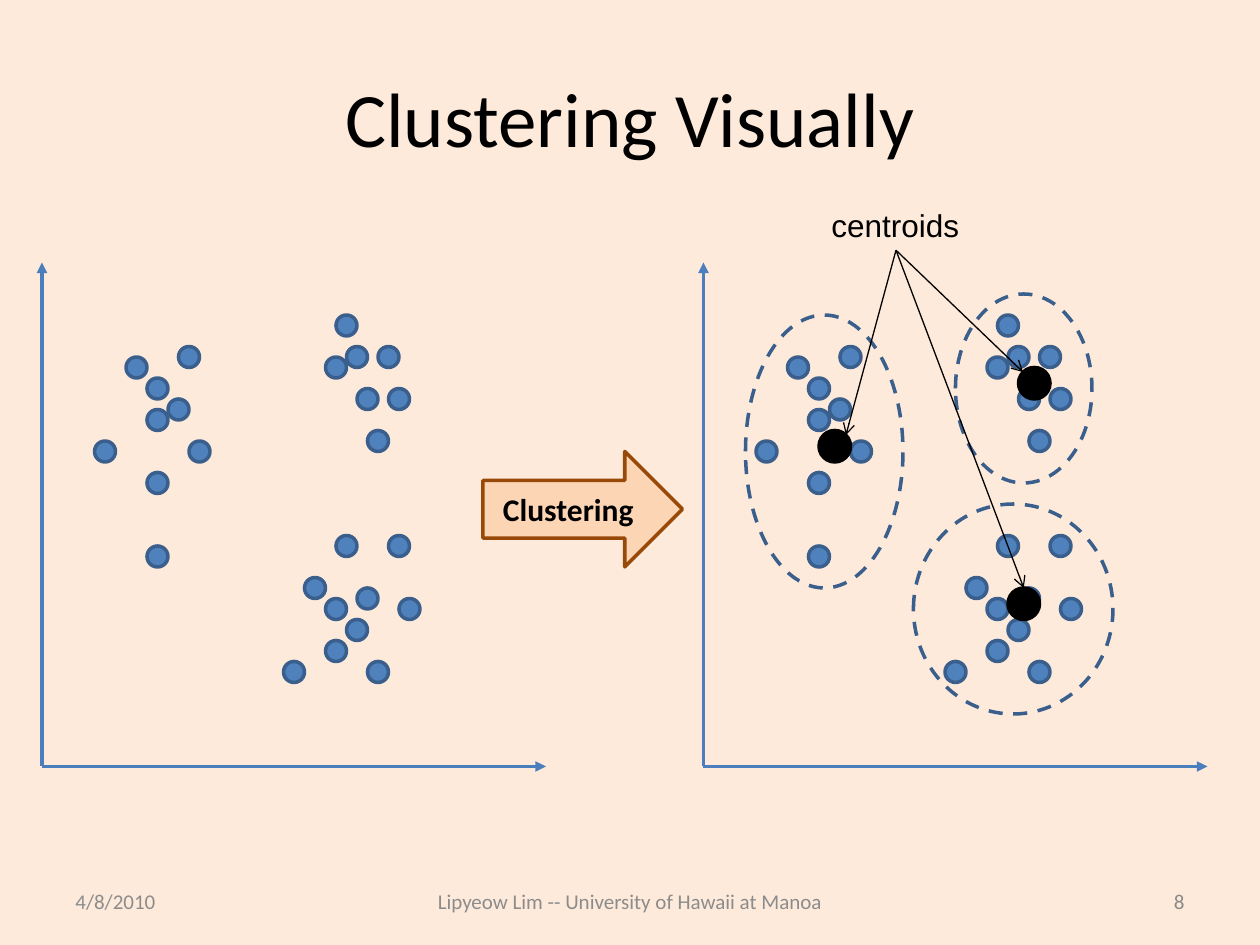
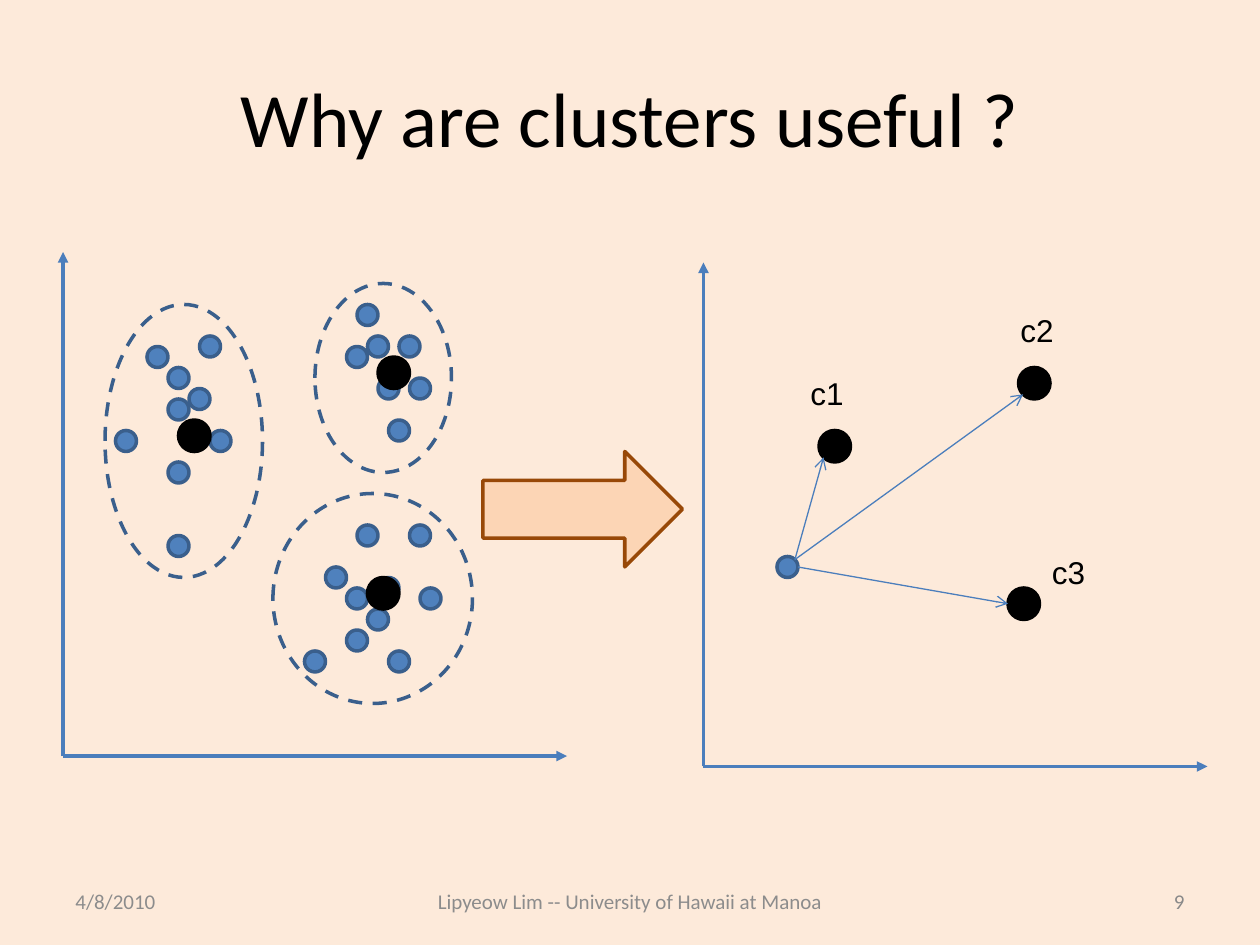
from math import hypot

from pptx import Presentation
from pptx.dml.color import RGBColor
from pptx.enum.dml import MSO_LINE
from pptx.enum.shapes import MSO_CONNECTOR, MSO_SHAPE
from pptx.enum.text import MSO_ANCHOR, PP_ALIGN
from pptx.oxml.ns import qn
from pptx.util import Pt
from lxml.etree import SubElement

PEACH = RGBColor(0xFD, 0xEA, 0xDA)
BLACK = RGBColor(0x00, 0x00, 0x00)
GREY = RGBColor(0x8C, 0x8C, 0x8C)
NUMBER_GREY = RGBColor(0x89, 0x89, 0x89)
AXIS_BLUE = RGBColor(0x4B, 0x7E, 0xBC)
DOT_BLUE = RGBColor(0x4F, 0x81, 0xBD)
RIM_BLUE = RGBColor(0x3A, 0x5F, 0x8C)
ARROW_FILL = RGBColor(0xFC, 0xD5, 0xB5)
ARROW_LINE = RGBColor(0x98, 0x48, 0x07)

GRID = 6
AXIS_LENGTH = 48 * GRID
DOT_SIZE, CENTROID_SIZE = 2, 3
LEFT_ORIGIN, RIGHT_ORIGIN, SHIFTED_ORIGIN = (24, 438), (402, 438), (36, 432)
DOTS = [
    (8, 39), (5, 31), (10, 21), (10, 34), (10, 28), (14, 31), (10, 37), (12, 35), (13, 40),
    (27, 39), (30, 36), (32, 40), (31, 32), (28, 43), (29, 40), (33, 36),
    (28, 22), (25, 18), (30, 17), (34, 16), (31, 10), (33, 22), (27, 12), (27, 16),
    (29, 14), (23, 10),
]
CLUSTERS = [(4, 43, 15, 26), (24, 45, 13, 18), (20, 25, 19, 20)]
CENTROIDS = [(11, 32), (30, 38), (29, 17)]
CENTROID_LABELS = [("c1", 9, 38), ("c2", 29, 44), ("c3", 32, 21)]
QUERY_POINT = (7, 20)


class Deck:
    """Draws the shared slide style and scatter plots on the current slide."""

    def __init__(self):
        self.prs = Presentation()
        self.prs.slide_width, self.prs.slide_height = Pt(720), Pt(540)
        self.s = None
        self.origin = LEFT_ORIGIN

    def slide(self, title, number):
        self.s = self.prs.slides.add_slide(self.prs.slide_layouts[6])
        self.s.background.fill.solid()
        self.s.background.fill.fore_color.rgb = PEACH
        self.text(title, 36, 21.6, 648, 90, 44, align=PP_ALIGN.CENTER)
        for text, x, w, align, color in [
            ("4/8/2010", 36, 168, PP_ALIGN.LEFT, GREY),
            ("Lipyeow Lim -- University of Hawaii at Manoa", 216, 288, PP_ALIGN.CENTER, GREY),
            (str(number), 516, 168, PP_ALIGN.RIGHT, NUMBER_GREY),
        ]:
            self.text(text, x, 500.4, w, 28.8, 12, color, align)

    def caption(self, sp, text, size, color=BLACK, align=PP_ALIGN.LEFT, font="Calibri",
                bold=False):
        tf = sp.text_frame
        tf.text = text
        tf.vertical_anchor = MSO_ANCHOR.MIDDLE
        p = tf.paragraphs[0]
        p.alignment = align
        r = p.runs[0]
        r.font.name, r.font.size, r.font.bold = font, Pt(size), bold
        r.font.color.rgb = color

    def text(self, text, x, y, w, h, size, color=BLACK, align=PP_ALIGN.LEFT):
        sp = self.s.shapes.add_textbox(Pt(x), Pt(y), Pt(w), Pt(h))
        sp.text_frame.word_wrap = True
        self.caption(sp, text, size, color, align)

    def label(self, text, x, y, w):
        sp = self.s.shapes.add_textbox(Pt(x), Pt(y), Pt(w), Pt(29))
        sp.text_frame.word_wrap = False
        self.caption(sp, text, 18, font="Arial")
        return sp

    def shape(self, kind, x, y, w, h, line, fill=None):
        sp = self.s.shapes.add_shape(kind, Pt(x), Pt(y), Pt(w), Pt(h))
        sp.shadow.inherit = False
        if fill is None:
            sp.fill.background()
        else:
            sp.fill.solid()
            sp.fill.fore_color.rgb = fill
        sp.line.color.rgb = line
        sp.line.width = Pt(2)
        return sp

    def arrow(self, start, end, color, width=0.75, head="arrow"):
        cx = self.s.shapes.add_connector(
            MSO_CONNECTOR.STRAIGHT, *(Pt(v) for v in (*start, *end)))
        cx.line.color.rgb = color
        cx.line.width = Pt(width)
        ln = cx._element.spPr.find(qn("a:ln"))
        SubElement(ln, qn("a:tailEnd"), type=head)
        SubElement(cx._element.spPr, qn("a:effectLst"))
        return cx

    def block_arrow(self, text=None):
        sp = self.shape(MSO_SHAPE.RIGHT_ARROW, 276, 258, 114, 66, ARROW_LINE, ARROW_FILL)
        if text:
            self.caption(sp, text, 18, align=PP_ALIGN.CENTER, bold=True)

    def place(self, right, up):
        x, y = self.origin
        return x + right * GRID, y - up * GRID

    def rim(self, spot, size, dx, dy):
        x, y = self.place(*spot)
        radius = size * GRID / 2
        reach = radius / hypot(dx, dy)
        return x + radius + dx * reach, y + radius + dy * reach

    def axes(self, origin):
        self.origin = x, y = origin
        for end in [(x, y - AXIS_LENGTH), (x + AXIS_LENGTH, y)]:
            self.arrow(origin, end, AXIS_BLUE, 2, "triangle")

    def ellipse(self, spot, w, h, line, fill=None):
        return self.shape(MSO_SHAPE.OVAL, *self.place(*spot), w * GRID, h * GRID, line, fill)

    def dots(self, spots):
        for spot in spots:
            self.ellipse(spot, DOT_SIZE, DOT_SIZE, RIM_BLUE, DOT_BLUE)

    def clusters(self):
        for right, up, w, h in CLUSTERS:
            self.ellipse((right, up), w, h, RIM_BLUE).line.dash_style = MSO_LINE.DASH

    def centroids(self):
        for spot in CENTROIDS:
            self.ellipse(spot, CENTROID_SIZE, CENTROID_SIZE, BLACK, BLACK)

    def clustered_plot(self, origin):
        self.axes(origin)
        self.dots(DOTS)
        self.clusters()
        self.centroids()


def clustering_visually(deck):
    deck.slide("Clustering Visually", 8)
    deck.axes(LEFT_ORIGIN)
    deck.dots(DOTS)
    deck.block_arrow("Clustering")
    deck.clustered_plot(RIGHT_ORIGIN)
    label = deck.label("centroids", 468, 114, 88)
    for spot, side in zip(CENTROIDS, [(1, -1), (-1, -1), (0, -1)]):
        end = deck.rim(spot, CENTROID_SIZE, *side)
        deck.arrow((512, 143), end, BLACK).begin_connect(label, 2)


def why_useful(deck):
    deck.slide("Why are clusters useful ?", 9)
    deck.clustered_plot(SHIFTED_ORIGIN)
    deck.block_arrow()
    deck.axes(RIGHT_ORIGIN)
    deck.centroids()
    deck.dots([QUERY_POINT])
    sides = [((1, -1), (-1, 1)), ((1, -1), (-1, 1)), ((1, 0), (-1, 0))]
    for spot, (leave, reach) in zip(CENTROIDS, sides):
        deck.arrow(deck.rim(QUERY_POINT, DOT_SIZE, *leave),
                   deck.rim(spot, CENTROID_SIZE, *reach), AXIS_BLUE)
    for text, right, up in CENTROID_LABELS:
        deck.label(text, *deck.place(right, up), 34)


def main():
    deck = Deck()
    clustering_visually(deck)
    why_useful(deck)
    deck.prs.save("out.pptx")


if __name__ == "__main__":
    main()
